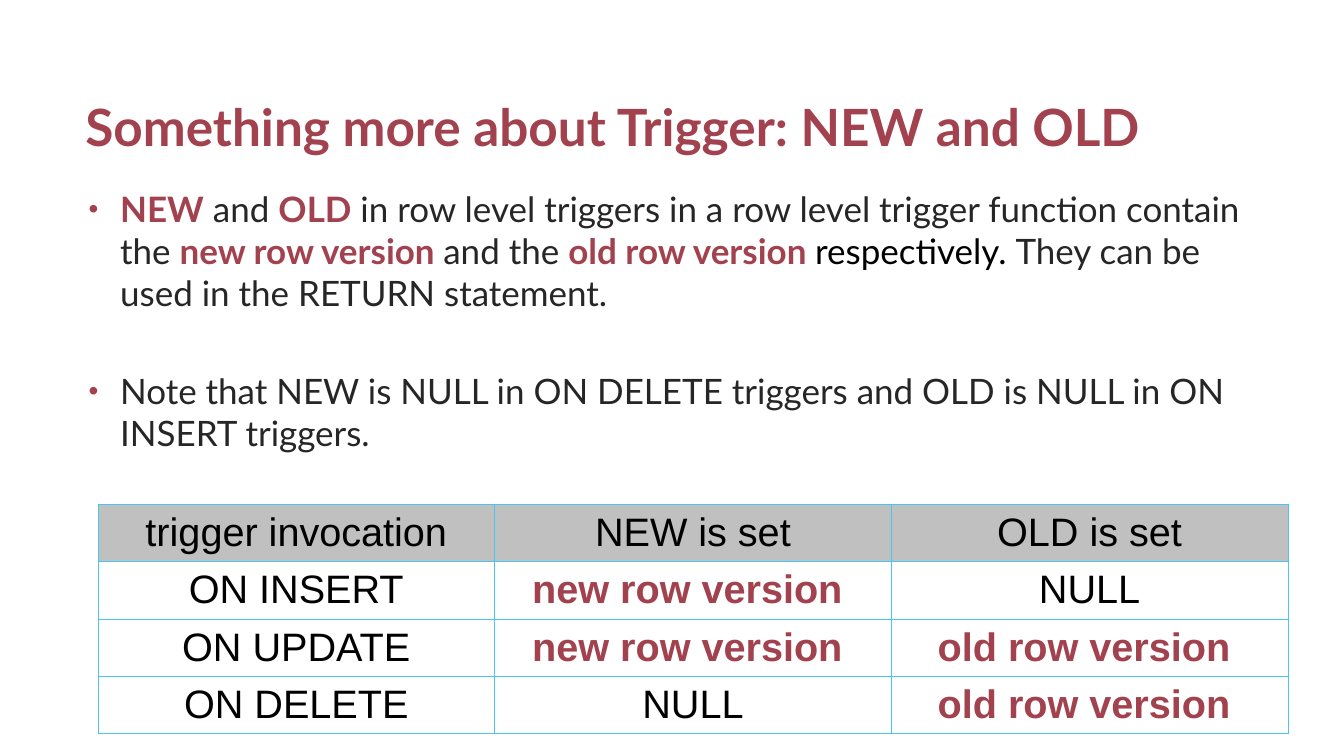
"""Build the slide on NEW and OLD in row level triggers."""
from lxml import etree
from pptx import Presentation
from pptx.dml.color import RGBColor
from pptx.enum.text import MSO_ANCHOR, PP_ALIGN
from pptx.oxml import parse_xml
from pptx.oxml.ns import nsdecls, qn
from pptx.util import Pt

MIDDLE, BOTTOM = MSO_ANCHOR.MIDDLE, MSO_ANCHOR.BOTTOM
CENTER = PP_ALIGN.CENTER
RED, INK, BLACK, GRAY, BLUE = "A2424F", "262626", "000000", "C0C0C0", "48C6F1"
LEFT, WIDTH = Pt(66), Pt(1020)


def color(value):
    return RGBColor.from_string(value)


def add_text(paragraph, text, size=30, font="Lato", fill=INK, bold=False):
    run = paragraph.add_run()
    run.text = text
    run.font.size = Pt(size)
    run.font.name = font
    run.font.bold = bold
    run.font.color.rgb = color(fill)


presentation = Presentation()
presentation.slide_width = Pt(1152)
presentation.slide_height = Pt(648)
slide = presentation.slides.add_slide(presentation.slide_layouts[6])

body = slide.shapes.add_textbox(LEFT, Pt(156), WIDTH, Pt(420)).text_frame
body.word_wrap = True
body.margin_left = body.margin_right = Pt(10)
body.margin_top = body.margin_bottom = Pt(5)

bullets = [
    (4, [
        ("NEW", RED),
        (" and ", INK),
        ("OLD", RED),
        (" in row level triggers in a row level trigger function contain the ", INK),
        ("new row version ", RED),
        ("and the ", INK),
        ("old row version ", RED),
        ("respectively. ", BLACK),
        ("They can be used in the RETURN statement.", INK),
    ]),
    (46, [
        ("Note that NEW is NULL in ON DELETE triggers and OLD is NULL in ON INSERT triggers.", INK),
    ]),
]
for index, (space_before, pieces) in enumerate(bullets):
    paragraph = body.add_paragraph() if index else body.paragraphs[0]
    paragraph.space_before = Pt(space_before)
    paragraph.space_after = Pt(2)
    for text, fill in pieces:
        add_text(paragraph, text, fill=fill, bold=fill == RED)
    properties = paragraph._p.get_or_add_pPr()
    properties.set("marL", str(Pt(27)))
    properties.set("indent", str(-Pt(27)))
    bullet_color = etree.SubElement(properties, qn("a:buClr"))
    etree.SubElement(bullet_color, qn("a:srgbClr"), val=RED)
    etree.SubElement(properties, qn("a:buSzPct"), val="80000")
    etree.SubElement(properties, qn("a:buFont"), typeface="Arial")
    etree.SubElement(properties, qn("a:buChar"), char="•")

title = slide.shapes.add_textbox(LEFT, Pt(26), WIDTH, Pt(112)).text_frame
title.word_wrap = True
title.vertical_anchor = BOTTOM
add_text(title.paragraphs[0], "Something more about Trigger: NEW and OLD",
         size=44, fill=RED, bold=True)

rows = [
    ("trigger invocation", "NEW is set", "OLD is set"),
    ("ON INSERT", "new row version ", "NULL"),
    ("ON UPDATE", "new row version ", "old row version "),
    ("ON DELETE", "NULL", "old row version "),
]
row_height = Pt(47.6)
table = slide.shapes.add_table(len(rows), 3, Pt(84), Pt(432), WIDTH,
                               row_height * len(rows)).table
for row_index, texts in enumerate(rows):
    table.rows[row_index].height = row_height
    for column_index, text in enumerate(texts):
        cell = table.cell(row_index, column_index)
        cell.vertical_anchor = MIDDLE
        cell.margin_left = cell.margin_right = Pt(7.2)
        cell.margin_top = cell.margin_bottom = Pt(4.2)
        paragraph = cell.text_frame.paragraphs[0]
        paragraph.alignment = CENTER
        version = "version" in text
        add_text(paragraph, text, size=34, font="Arial",
                 fill=RED if version else BLACK, bold=version)
        properties = cell._tc.get_or_add_tcPr()
        for side in ("lnL", "lnR", "lnT", "lnB"):
            properties.append(parse_xml(
                f'<a:{side} {nsdecls("a")} w="{Pt(0.6)}"><a:solidFill>'
                f'<a:srgbClr val="{BLUE}"/></a:solidFill></a:{side}>'))
        if row_index == 0:
            cell.fill.solid()
            cell.fill.fore_color.rgb = color(GRAY)
        else:
            cell.fill.background()

presentation.save("out.pptx")
